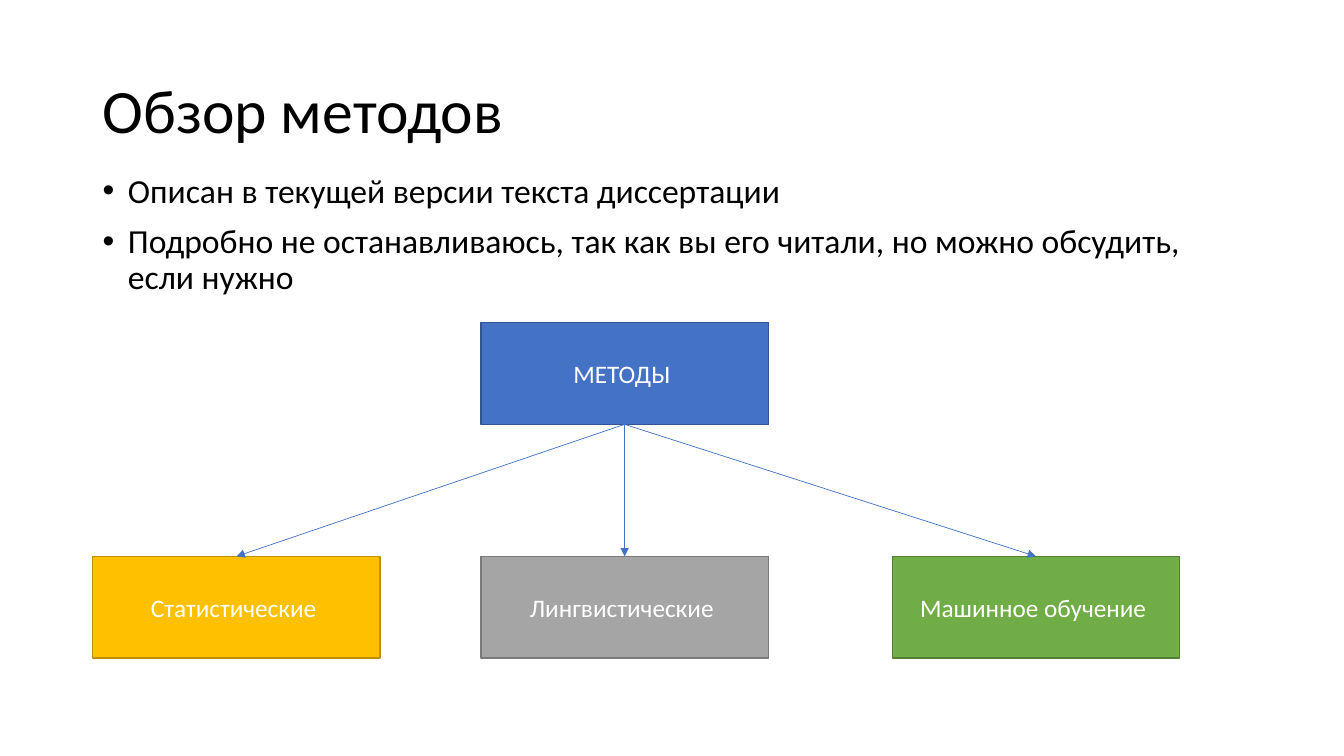
from collections import namedtuple
from dataclasses import dataclass

from lxml.etree import SubElement
from pptx import Presentation
from pptx.dml.color import RGBColor
from pptx.enum.shapes import MSO_CONNECTOR, MSO_SHAPE
from pptx.enum.text import MSO_ANCHOR, PP_ALIGN
from pptx.oxml.ns import qn
from pptx.util import Inches, Pt

Box = namedtuple("Box", "left top width height")


@dataclass(frozen=True)
class Theme:
    font: str = "Calibri"
    text: str = "000000"
    node_text: str = "FFFFFF"
    arrow: str = "4472C4"
    title_size: int = 44
    body_size: int = 24
    node_size: int = 18
    border: float = 1
    arrow_width: float = 0.5


THEME = Theme()
WIDTH, HEIGHT = 13.33, 7.5
MARGIN = 0.92
TEXT_WIDTH = WIDTH - 2 * MARGIN
TITLE_BOX = Box(MARGIN, 0.4, TEXT_WIDTH, 1.45)
BODY_BOX = Box(MARGIN, 1.68, TEXT_WIDTH, 5.08)
TREE_BOX = Box(MARGIN, 3.2, 10.78, 3.33)

TITLE = "Обзор методов"
BULLETS = [
    "Описан в текущей версии текста диссертации",
    "Подробно не останавливаюсь, так как вы его читали, "
    "но можно обсудить, если нужно",
]
# Label, fill, border
ROOT = ("МЕТОДЫ ", "4472C4", "325491")
# Left offset in the tree, label, fill, border
BRANCHES = [
    (0, ("Статистические ", "FFC000", "BD8E00")),
    (3.85, ("Лингвистические ", "A5A5A5", "7A7A7A")),
    (7.93, ("Машинное обучение ", "70AD47", "538035")),
]
ROOT_OFFSET = 3.85
NODE_WIDTH, NODE_HEIGHT = 2.85, 1.01


def to_emu(box):
    return [Inches(v) for v in box]


def write(tf, lines, size, color, anchor, **para_format):
    tf.word_wrap = True
    tf.vertical_anchor = anchor
    for i, line in enumerate(lines):
        p = tf.paragraphs[0] if i == 0 else tf.add_paragraph()
        for name, value in para_format.items():
            setattr(p, name, value)
        r = p.add_run()
        r.text = line
        style = {"name": THEME.font, "size": Pt(size)}
        for name, value in style.items():
            setattr(r.font, name, value)
        r.font.color.rgb = RGBColor.from_string(color)


def add_title(s, box):
    tf = s.shapes.add_textbox(*to_emu(box)).text_frame
    write(tf, [TITLE], THEME.title_size, THEME.text, MSO_ANCHOR.MIDDLE,
          line_spacing=0.9)


def add_bullets(s, box):
    tf = s.shapes.add_textbox(*to_emu(box)).text_frame
    write(tf, BULLETS, THEME.body_size, THEME.text, MSO_ANCHOR.TOP,
          line_spacing=0.9, space_before=Pt(10))
    indent = Inches(0.25)
    for p in tf.paragraphs:
        props = p._p.get_or_add_pPr()
        props.set("marL", str(indent))
        props.set("indent", str(-indent))
        SubElement(props, qn("a:buFont")).set("typeface", "Arial")
        SubElement(props, qn("a:buChar")).set("char", "•")


def add_node(s, left, top, node):
    label, fill, border = node
    box = Box(left, top, NODE_WIDTH, NODE_HEIGHT)
    sp = s.shapes.add_shape(MSO_SHAPE.RECTANGLE, *to_emu(box))
    sp.shadow.inherit = False
    sp.fill.solid()
    sp.fill.fore_color.rgb = RGBColor.from_string(fill)
    sp.line.color.rgb = RGBColor.from_string(border)
    sp.line.width = Pt(THEME.border)
    write(sp.text_frame, [label], THEME.node_size, THEME.node_text,
          MSO_ANCHOR.MIDDLE, alignment=PP_ALIGN.CENTER)
    return sp


def add_arrow(s, parent, child):
    """Join the bottom of the parent to the top of the child."""
    line = s.shapes.add_connector(MSO_CONNECTOR.STRAIGHT, 0, 0, 0, 0)
    line.begin_connect(parent, 2)
    line.end_connect(child, 0)
    line.line.color.rgb = RGBColor.from_string(THEME.arrow)
    line.line.width = Pt(THEME.arrow_width)
    SubElement(line.line._get_or_add_ln(), qn("a:tailEnd")).set("type", "triangle")
    SubElement(line._element.spPr, qn("a:effectLst"))


def add_tree(s, box):
    root = add_node(s, box.left + ROOT_OFFSET, box.top, ROOT)
    row = box.top + box.height - NODE_HEIGHT
    children = [add_node(s, box.left + offset, row, node)
                for offset, node in BRANCHES]
    for child in children:
        add_arrow(s, root, child)


def main():
    prs = Presentation()
    prs.slide_width, prs.slide_height = Inches(WIDTH), Inches(HEIGHT)
    s = prs.slides.add_slide(prs.slide_layouts[6])
    add_title(s, TITLE_BOX)
    add_bullets(s, BODY_BOX)
    add_tree(s, TREE_BOX)
    prs.save("out.pptx")


if __name__ == "__main__":
    main()
